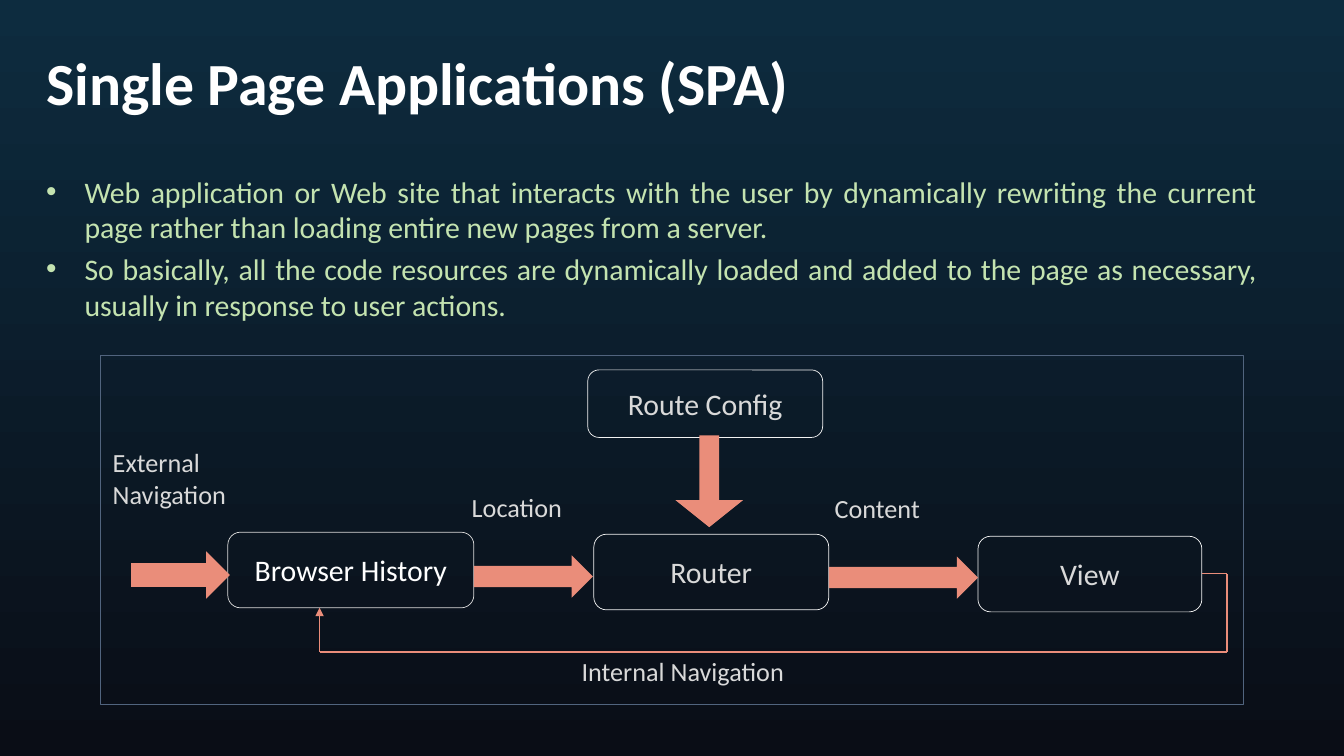
from lxml import etree
from pptx import Presentation
from pptx import util as u
from pptx.dml.color import RGBColor
from pptx.enum import shapes, text
from pptx.oxml.ns import qn

CORAL, GREY, PALE, WHITE = "EA8D7A", "D9D9D9", "F2F2F2", "FFFFFF"
KINDS = shapes.MSO_SHAPE
ALIGN = text.PP_ALIGN


def paint(target, color):
    """Give a fill or font one solid colour."""
    if hasattr(target, "solid"):
        target.solid()
        target = target.fore_color
    target.rgb = RGBColor.from_string(color)


def write(frame, lines, size=18.7, color=GREY, bold=False, align=ALIGN.LEFT, bullet=False):
    """Write one paragraph per line into a text frame."""
    for i, line in enumerate(lines):
        para = frame.paragraphs[0] if i == 0 else frame.add_paragraph()
        para.alignment = align
        run = para.add_run()
        run.text = line
        run.font.name = "Calibri"
        run.font.size = u.Pt(size)
        run.font.bold = bold
        paint(run.font.color, color)
        if bullet:
            para.space_before = u.Pt(size * 0.2)
            props = para._p.get_or_add_pPr()
            props.set("marL", str(u.Inches(0.38)))
            props.set("indent", str(u.Inches(-0.38)))
            etree.SubElement(props, qn("a:buFont")).set("typeface", "Arial")
            etree.SubElement(props, qn("a:buChar")).set("char", "•")


def label(slide, spot, lines, wrap=False, **style):
    """Add a text box."""
    frame = slide.shapes.add_textbox(*map(u.Inches, spot)).text_frame
    frame.word_wrap = wrap
    if not wrap:
        frame.auto_size = text.MSO_AUTO_SIZE.SHAPE_TO_FIT_TEXT
    write(frame, lines, **style)


def box(slide, kind, spot, edge, name="", color=GREY):
    """Add an outlined box with an optional name inside."""
    shape = slide.shapes.add_shape(kind, *map(u.Inches, spot))
    shape.shadow.inherit = False
    shape.fill.background()
    paint(shape.line.fill, edge)
    shape.line.width = u.Pt(0.5)
    if name:
        shape.text_frame.vertical_anchor = text.MSO_ANCHOR.MIDDLE
        write(shape.text_frame, [name], size=21.3, color=color, align=ALIGN.CENTER)


def arrow(slide, kind, spot, shape_by=()):
    """Add a filled block arrow."""
    shape = slide.shapes.add_shape(kind, *map(u.Inches, spot))
    shape.shadow.inherit = False
    paint(shape.fill, CORAL)
    shape.line.fill.background()
    for i, value in enumerate(shape_by):
        shape.adjustments[i] = value


def route(slide, points):
    """Join points by straight lines, with an arrowhead at the end."""
    for start, end in zip(points, points[1:]):
        ends = map(u.Inches, start + end)
        line = slide.shapes.add_connector(shapes.MSO_CONNECTOR.STRAIGHT, *ends)
        paint(line.line.fill, CORAL)
        line.line.width = u.Pt(1)
        etree.SubElement(line._element.spPr, qn("a:effectLst"))
    edge = line.line._get_or_add_ln()
    etree.SubElement(edge, qn("a:tailEnd")).set("type", "triangle")


def backdrop(slide):
    """Fill the background with a downward gradient."""
    fill = slide.background.fill
    fill.gradient()
    fill.gradient_angle = 270
    for stop, place, color in zip(fill.gradient_stops, (0, 1), ("0D2C3F", "0A0D16")):
        stop.position = place
        paint(stop.color, color)


def main():
    """Build the slide and save it."""
    deck = Presentation()
    deck.slide_width, deck.slide_height = u.Inches(13.33), u.Inches(7.5)
    slide = deck.slides.add_slide(deck.slide_layouts[6])
    backdrop(slide)

    label(slide, (0.36, 0.4, 11.5, 1.27), ["Single Page Applications (SPA)"],
          wrap=True, size=42.7, color=WHITE, bold=True)
    label(slide, (0.36, 1.67, 12.21, 2.06), [
        "Web application or Web site that interacts with the user by dynamically "
        "rewriting the current page rather than loading entire new pages from a server.",
        "So basically, all the code resources are dynamically loaded and added to "
        "the page as necessary, usually in response to user actions.",
    ], wrap=True, size=21.3, color="C4E3B0", align=ALIGN.JUSTIFY, bullet=True)

    box(slide, KINDS.RECTANGLE, (1, 3.53, 11.33, 3.46), "51647E")
    for spot, edge, name, color in (
        ((5.83, 3.67, 2.33, 0.67), PALE, "Route Config", GREY),
        ((5.89, 5.3, 2.33, 0.75), PALE, "Router", GREY),
        ((2.26, 5.28, 2.44, 0.75), GREY, "Browser History", WHITE),
        ((9.7, 5.32, 2.22, 0.75), PALE, "View", GREY),
    ):
        box(slide, KINDS.ROUNDED_RECTANGLE, spot, edge, name, color)

    for spot in ((1.3, 5.47, 0.98, 0.47), (4.7, 5.51, 1.18, 0.42), (8.22, 5.52, 1.48, 0.42)):
        arrow(slide, KINDS.RIGHT_ARROW, spot)
    arrow(slide, KINDS.DOWN_ARROW, (6.7, 4.32, 0.67, 0.91), (0.29, 0.4))
    route(slide, [(11.92, 5.69), (12.17, 5.69), (12.17, 6.47), (3.17, 6.47), (3.17, 6.03)])

    for spot, lines in (
        ((4.58, 4.82, 1.11, 0.42), ["Location"]),
        ((8.18, 4.83, 1.05, 0.42), ["Content"]),
        ((1.02, 4.38, 1.33, 0.73), ["External", "Navigation"]),
        ((5.67, 6.45, 2.22, 0.42), ["Internal Navigation"]),
    ):
        label(slide, spot, lines)
    deck.save("out.pptx")


if __name__ == "__main__":
    main()
